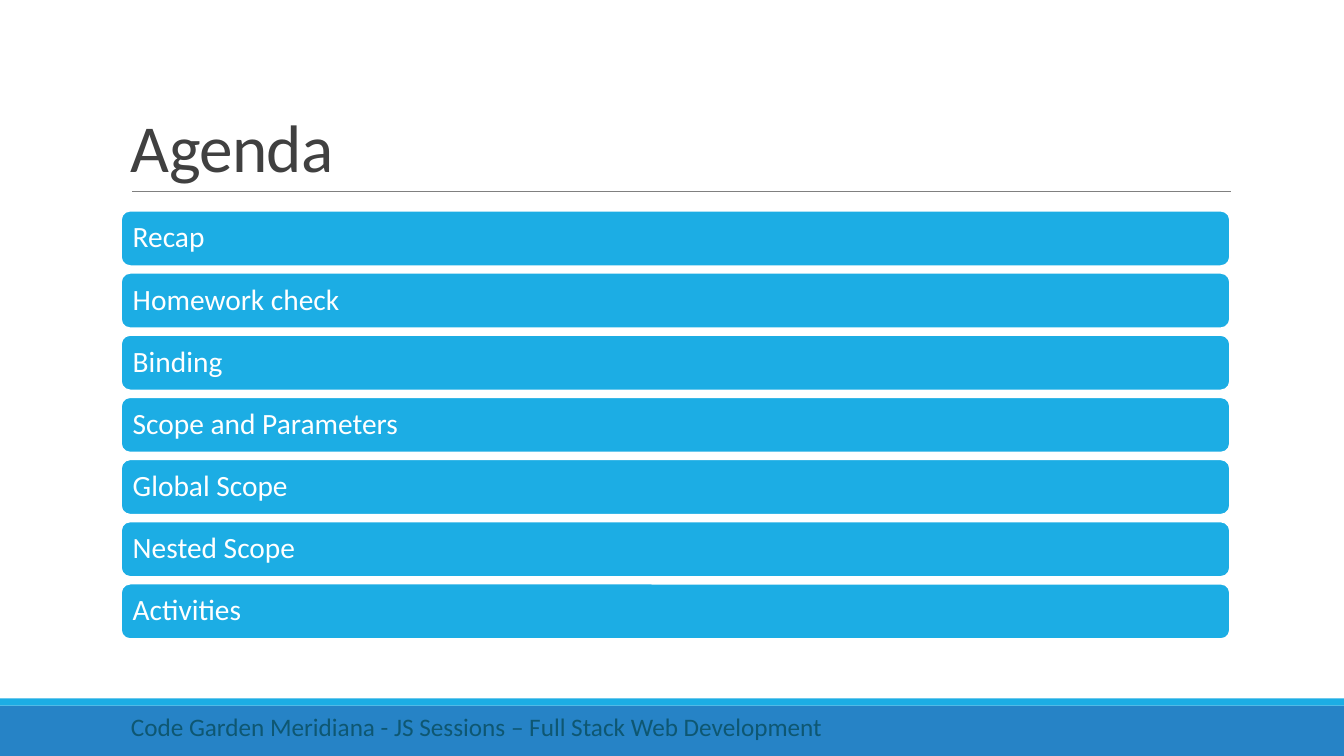
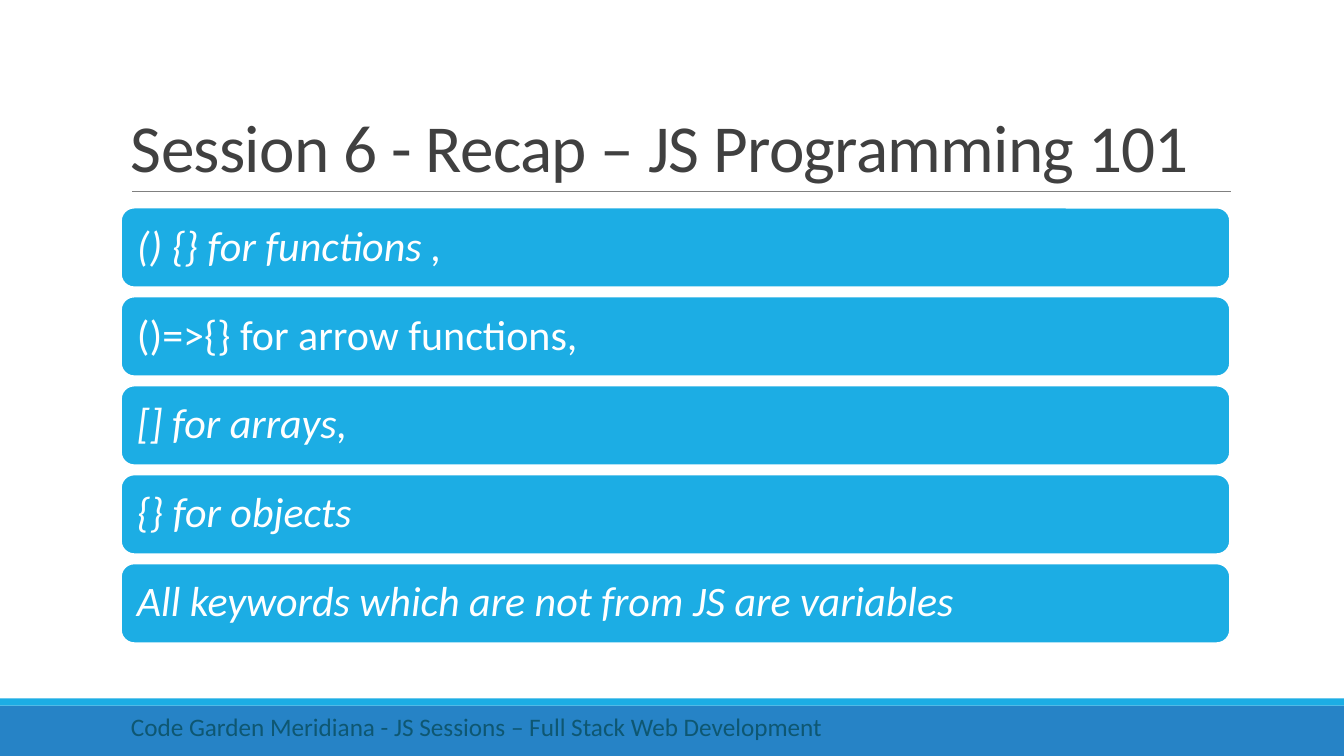
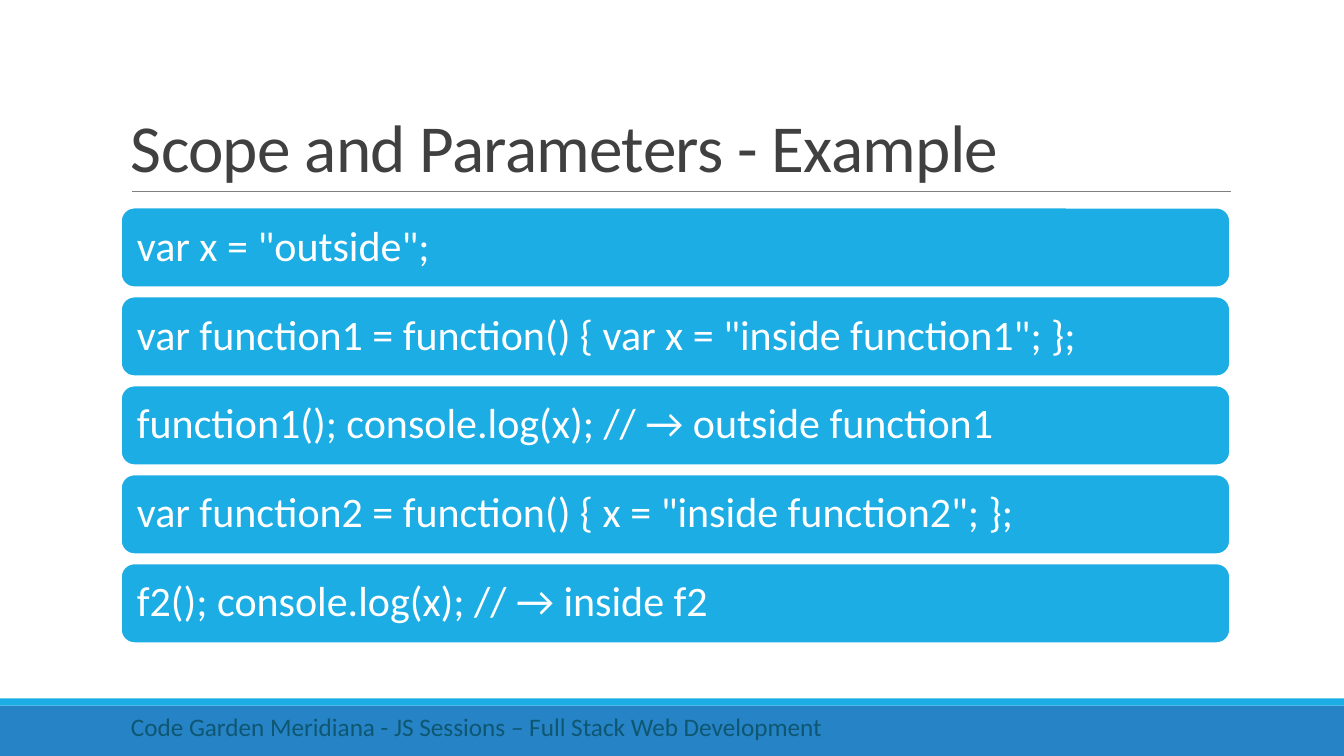
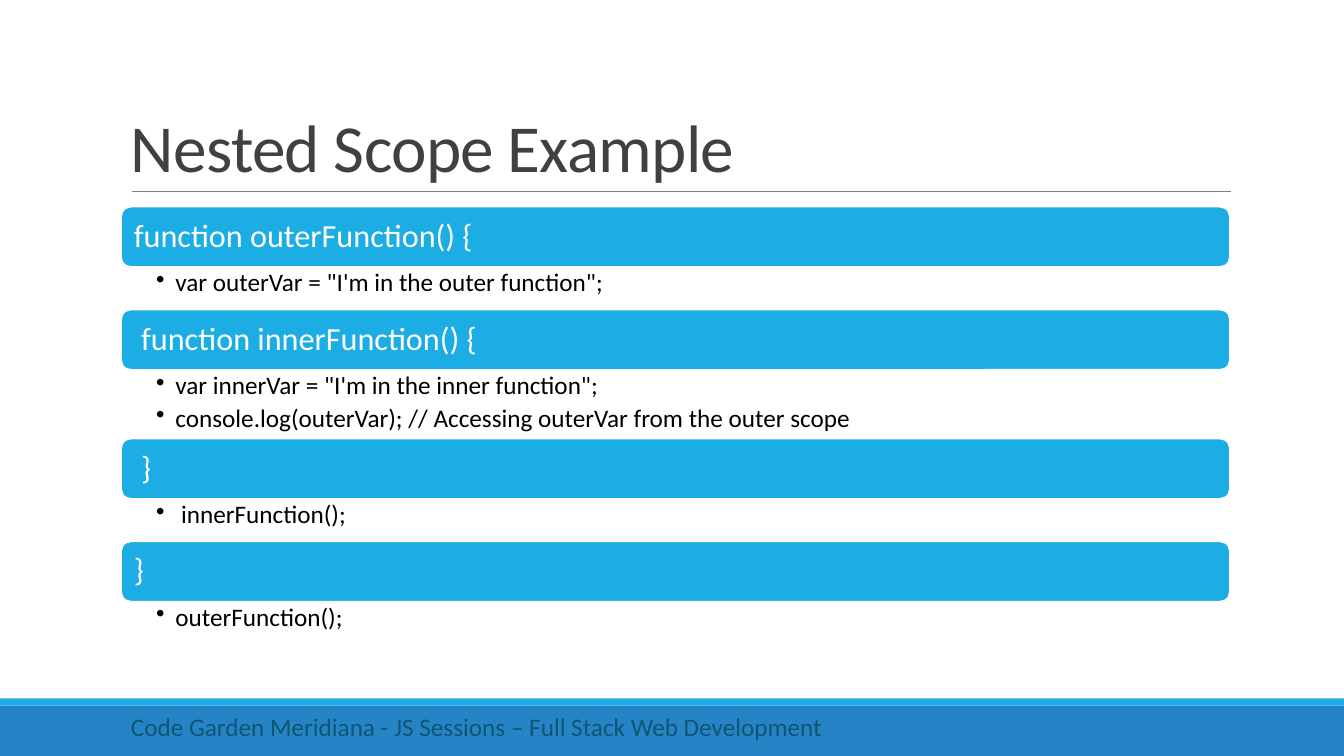
from lxml.etree import SubElement
from pptx import Presentation
from pptx.dml.color import RGBColor
from pptx.enum.shapes import MSO_CONNECTOR, MSO_SHAPE
from pptx.enum.text import MSO_ANCHOR, PP_ALIGN
from pptx.oxml.ns import qn
from pptx.util import Inches, Pt

SKY = RGBColor(0x1C, 0xAD, 0xE4)
BLUE = RGBColor(0x26, 0x83, 0xC6)
TEAL = RGBColor(0x0E, 0x57, 0x72)
DARK = RGBColor(0x40, 0x40, 0x40)
GRAY = RGBColor(0x80, 0x80, 0x80)
BLACK = RGBColor(0, 0, 0)
WHITE = RGBColor(255, 255, 255)
FONT = "Calibri"
FOOTER = "Code Garden Meridiana - JS Sessions – Full Stack Web Development"
LEFT, WIDTH = 1.2, 11


def write(frame, text, size, color, anchor=MSO_ANCHOR.TOP, inset=(0.1, 0.05, 0.1, 0.05),
          leading=1.0, after=0, italic=False, track=0, bullet=False):
    frame.word_wrap = True
    frame.vertical_anchor = anchor
    (frame.margin_left, frame.margin_top,
     frame.margin_right, frame.margin_bottom) = map(Inches, inset)
    frame.text = text
    for para in frame.paragraphs:
        para.alignment = PP_ALIGN.LEFT
        para.line_spacing = leading
        para.space_after = Pt(after)
        if bullet:
            props = para._p.get_or_add_pPr()
            props.set("marL", str(Inches(0.19)))
            props.set("indent", str(-Inches(0.19)))
            SubElement(props, qn("a:buChar")).set("char", "•")
        for run in para.runs:
            font = run.font
            font.name, font.size, font.italic = FONT, Pt(size), italic
            font.color.rgb = color
            if track:
                run._r.get_or_add_rPr().set("spc", str(track))


class Deck:
    def __init__(self):
        self.file = Presentation()
        self.file.slide_width = Inches(13.33)
        self.file.slide_height = Inches(7.5)
        self.slide = None

    def start(self, title):
        self.slide = self.file.slides.add_slide(self.file.slide_layouts[6])
        self.shape(MSO_SHAPE.RECTANGLE, 0, 7, 13.33, 0.5, BLUE)
        self.shape(MSO_SHAPE.RECTANGLE, 0, 6.93, 13.33, 0.07, SKY)
        self.rule(1.31, 12.21, 1.9)
        self.text(title, LEFT, 0.31, WIDTH, 1.59, size=48, color=DARK,
                  anchor=MSO_ANCHOR.BOTTOM, leading=0.85, track=-50)
        self.text(FOOTER, LEFT, 7.01, 7.78, 0.4, size=18, color=TEAL)

    def shape(self, kind, left, top, width, height, fill):
        item = self.slide.shapes.add_shape(
            kind, Inches(left), Inches(top), Inches(width), Inches(height))
        item.shadow.inherit = False
        item.fill.solid()
        item.fill.fore_color.rgb = fill
        item.line.fill.background()
        return item

    def rule(self, left, right, top):
        line = self.slide.shapes.add_connector(
            MSO_CONNECTOR.STRAIGHT, Inches(left), Inches(top), Inches(right), Inches(top))
        line.line.color.rgb = GRAY
        line.line.width = Pt(0.5)
        SubElement(line._element.spPr, qn("a:effectLst"))

    def text(self, text, left, top, width, height, **style):
        box = self.slide.shapes.add_textbox(
            Inches(left), Inches(top), Inches(width), Inches(height))
        write(box.text_frame, text, **style)

    def bar(self, text, top, height, size, inset, italic=False):
        item = self.shape(MSO_SHAPE.ROUNDED_RECTANGLE, LEFT, top, WIDTH, height, SKY)
        item.line.color.rgb = WHITE
        item.line.width = Pt(1.25)
        write(item.text_frame, text, size, WHITE, anchor=MSO_ANCHOR.MIDDLE,
              inset=(inset,) * 4, leading=0.9, italic=italic)

    def stack(self, items, first, last, height, size, inset, slant=()):
        step = (last - first) / (len(items) - 1)
        for index, text in enumerate(items):
            self.bar(text, first + index * step, height, size, inset, index in slant)

    def nest(self, groups, top):
        for head, lines in groups:
            self.bar(head, top, 0.6, 23, 0.1)
            top += 0.6
            height = 0.16 + 0.26 * len(lines)
            self.text("\n".join(lines), LEFT, top, WIDTH, height, size=18, color=BLACK,
                      inset=(0.35, 0.03, 0.18, 0.03), leading=0.9, after=3.6, bullet=True)
            top += height


def main():
    deck = Deck()

    deck.start("Agenda")
    deck.stack(["Recap", "Homework check", "Binding", "Scope and Parameters",
                "Global Scope", "Nested Scope", "Activities"],
               first=2.09, last=5.79, height=0.55, size=21, inset=0.09)

    large = dict(first=2.06, last=5.59, height=0.79, size=30, inset=0.12)
    deck.start("Session 6 - Recap – JS Programming 101")
    deck.stack(["() {} for functions ,", "()=>{} for arrow functions,", "[] for arrays,",
                "{} for objects", "All keywords which are not from JS are variables"],
               slant=(0, 2, 3, 4), **large)

    deck.start("Scope and Parameters - Example")
    deck.stack(['var x = "outside";',
                'var function1 = function() { var x = "inside function1"; };',
                "function1(); console.log(x); // → outside function1",
                'var function2 = function() { x = "inside function2"; };',
                "f2(); console.log(x); // → inside f2"], **large)

    deck.start("Nested Scope Example")
    deck.nest([
        ("function outerFunction() {", ['var outerVar = "I\'m in the outer function";']),
        (" function innerFunction() {", [
            'var innerVar = "I\'m in the inner function";',
            "console.log(outerVar); // Accessing outerVar from the outer scope"]),
        (" }", [" innerFunction();"]),
        ("}", ["outerFunction();"]),
    ], top=2.05)

    deck.file.save("out.pptx")


if __name__ == "__main__":
    main()
